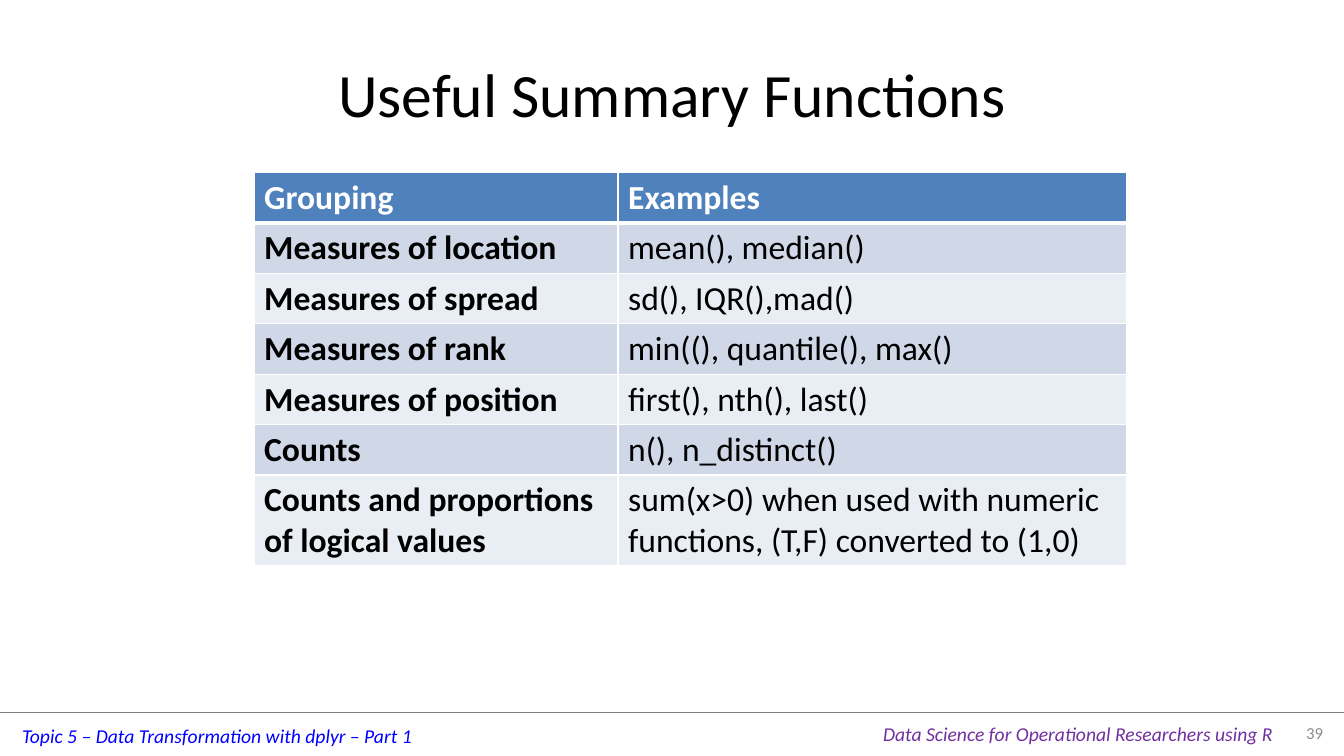
from dataclasses import dataclass

from lxml.etree import SubElement
from pptx import Presentation
from pptx.dml.color import RGBColor
from pptx.enum.shapes import MSO_CONNECTOR
from pptx.enum.text import MSO_ANCHOR, MSO_AUTO_SIZE, PP_ALIGN
from pptx.oxml.ns import qn
from pptx.util import Emu, Pt

TITLE = "Useful Summary Functions"
TOPIC = "Topic 5 – Data Transformation with dplyr – Part 1"
COURSE = "Data Science for Operational Researchers using R"
NUMBER = "39"
SUMMARY = [
    ("Grouping", "Examples"),
    ("Measures of location", "mean(), median()"),
    ("Measures of spread", "sd(), IQR(),mad()"),
    ("Measures of rank", "min((), quantile(), max()"),
    ("Measures of position", "first(), nth(), last()"),
    ("Counts", "n(), n_distinct()"),
    ("Counts and proportions of logical values",
     "sum(x>0) when used with numeric functions, (T,F) converted to (1,0)"),
]

PX = 9144
WIDTH, HEIGHT = 1333, 750
RULE_Y = 707
TABLE_LEFT, TABLE_TOP = 252, 171
COLUMNS = (361, 504)
ROW, LAST_ROW = 50, 90


@dataclass(frozen=True)
class Theme:
    font: str = "Calibri"
    title_size: int = 44
    table_size: int = 24
    footer_size: int = 14
    number_size: int = 12
    ink: str = "000000"
    white: str = "FFFFFF"
    header: str = "4F81BD"
    bands: tuple = ("E9EDF4", "D0D8E8")
    rule: str = "808080"
    topic: str = "0000FF"
    course: str = "7030A0"
    number: str = "8C8C8C"


theme = Theme()


def px(*lengths):
    return [Emu(n * PX) for n in lengths]


def write(tf, text, size, color, bold=False, italic=False, align=PP_ALIGN.LEFT):
    p = tf.paragraphs[0]
    p.alignment = align
    r = p.add_run()
    r.text = text
    r.font.name = theme.font
    r.font.size = Pt(size)
    r.font.bold = bold
    r.font.italic = italic
    r.font.color.rgb = RGBColor.from_string(color)


def add_border(cell, side, width):
    props = cell._tc.get_or_add_tcPr()
    ln = SubElement(props, qn(f"a:ln{side}"), w=str(Pt(width)))
    fill = SubElement(ln, qn("a:solidFill"))
    SubElement(fill, qn("a:srgbClr"), val=theme.white)
    props.remove(ln)
    props.insert(len(props.findall(qn(f"a:lnL")) + props.findall(qn("a:lnR"))
                     + props.findall(qn("a:lnT"))), ln)


def add_rule(slide):
    line = slide.shapes.add_connector(
        MSO_CONNECTOR.STRAIGHT, *px(0, RULE_Y, WIDTH, RULE_Y))
    line.line.color.rgb = RGBColor.from_string(theme.rule)
    line.line.width = Pt(0.25)
    SubElement(line._element.spPr, qn("a:effectLst"))


def add_footer(slide, box, text, color):
    tf = slide.shapes.add_textbox(*px(*box)).text_frame
    tf.word_wrap = False
    tf.auto_size = MSO_AUTO_SIZE.SHAPE_TO_FIT_TEXT
    write(tf, text, theme.footer_size, color, italic=True)


def add_title(slide):
    sp = slide.shapes.title
    sp.left, sp.top, sp.width, sp.height = px(67, 30, 1200, 125)
    sp.text_frame.vertical_anchor = MSO_ANCHOR.MIDDLE
    write(sp.text_frame, TITLE, theme.title_size, theme.ink, align=PP_ALIGN.CENTER)


def add_number(slide):
    tf = slide.shapes.add_textbox(*px(1267, RULE_Y, 55, 39)).text_frame
    tf.word_wrap = True
    tf.vertical_anchor = MSO_ANCHOR.MIDDLE
    write(tf, NUMBER, theme.number_size, theme.number, align=PP_ALIGN.RIGHT)


def add_summary(slide):
    heights = [ROW] * (len(SUMMARY) - 1) + [LAST_ROW]
    table = slide.shapes.add_table(
        len(SUMMARY), len(COLUMNS),
        *px(TABLE_LEFT, TABLE_TOP, sum(COLUMNS), sum(heights))).table
    table.first_col = True
    for column, width in zip(table.columns, px(*COLUMNS)):
        column.width = width
    for i, (row, height) in enumerate(zip(table.rows, px(*heights))):
        row.height = height
        head = i == 0
        for j, cell in enumerate(row.cells):
            cell.fill.solid()
            cell.fill.fore_color.rgb = RGBColor.from_string(
                theme.header if head else theme.bands[i % 2])
            for side in "LRTB":
                thick = (head and side == "B") or (i == 1 and side == "T")
                add_border(cell, side, 3 if thick else 1)
            write(cell.text_frame, SUMMARY[i][j], theme.table_size,
                  theme.white if head else theme.ink, bold=head or j == 0)


def main():
    prs = Presentation()
    prs.slide_width, prs.slide_height = px(WIDTH, HEIGHT)
    slide = prs.slides.add_slide(prs.slide_layouts[5])
    add_rule(slide)
    add_footer(slide, (12, 713, 412, 34), TOPIC, theme.topic)
    add_footer(slide, (866, 711, 411, 34), COURSE, theme.course)
    add_title(slide)
    add_number(slide)
    add_summary(slide)
    prs.save("out.pptx")


if __name__ == "__main__":
    main()
